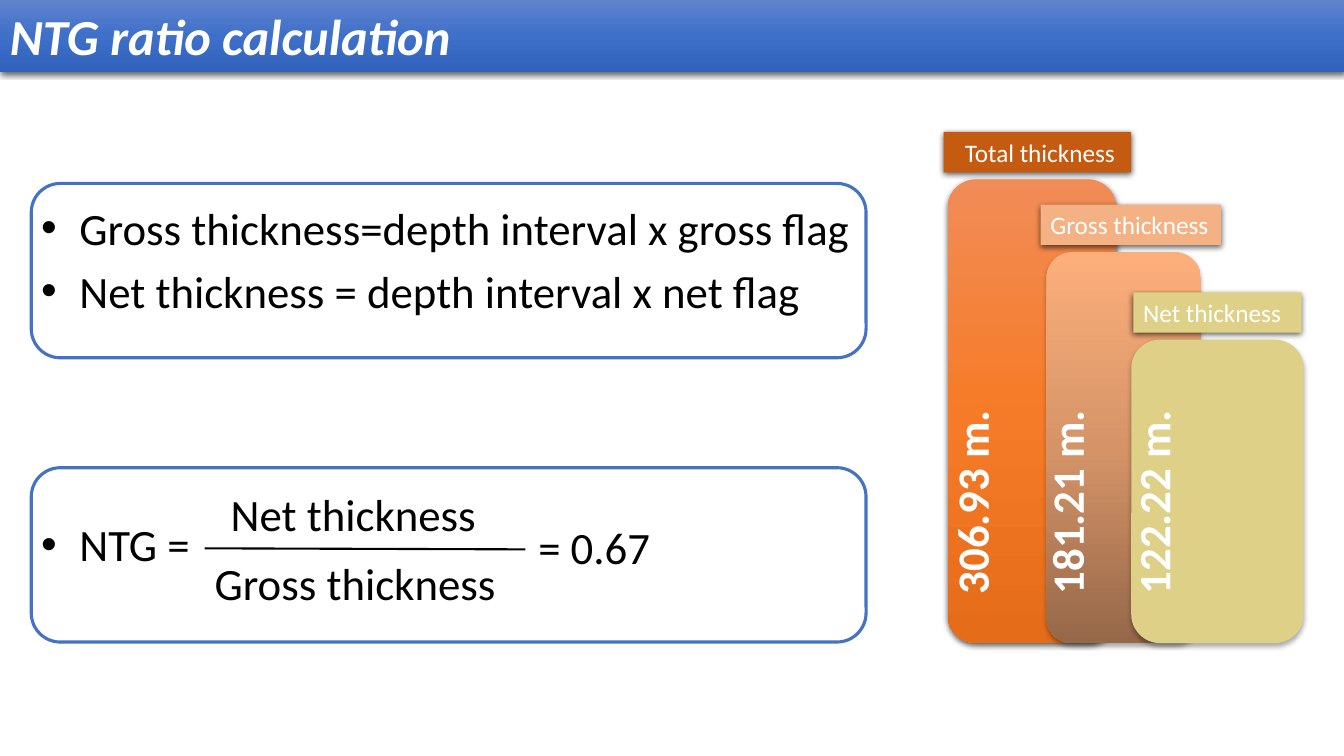
"""Build the NTG ratio calculation slide."""
from copy import deepcopy

from lxml.etree import SubElement
from pptx import Presentation
from pptx.dml.color import RGBColor
from pptx.enum.shapes import MSO_CONNECTOR, MSO_SHAPE
from pptx.enum.text import MSO_ANCHOR, PP_ALIGN
from pptx.oxml.ns import qn
from pptx.util import Inches, Pt

COLORS = {"text": "000000", "white": "FFFFFF", "frame": "4472C4",
          "total": "C55A11", "gross": "F4B183", "net": "DFD087"}
GRADIENTS = {"header": ("6183CB", "3E70CA", "3062BB"),
             "total": ("F18C57", "F67B28", "E56C19"),
             "gross": ("FDAF7B", "D59468", "966849")}
STRONG = (63, 4.5, 1.5)
SOFT = (32, 3.5, 2.2)

TITLE = "NTG ratio calculation"
FRAME_TOPS = (1.82, 4.64)
BULLETS = [
    (1.94, 8.37, ["Gross thickness=depth interval x gross flag",
                  "Net thickness = depth interval x net flag"]),
    (5.08, 1.73, ["NTG ="]),
]
FRACTION = [("Net thickness", 2.19, 4.78, 3.1),
            ("Gross thickness", 2.03, 5.46, 3.1),
            ("= 0.67", 5.24, 5.11, 1.98)]
# name, label, value, bar (left, top, width), label (left, width, inset), value center, shadow
BARS = [
    ("total", "Total thickness", "306.93 m.", (9.4, 1.78, 1.67), (9.36, 1.86, 0.21), 9.635, STRONG),
    ("gross", "Gross thickness", "181.21 m.", (10.38, 2.5, 1.53), (10.32, 1.79, 0.1), 10.575, SOFT),
    ("net", "Net thickness", "122.22 m.", (11.22, 3.37, 1.71), (11.24, 1.67, 0.1), 11.435, SOFT),
]
BAR_BOTTOM = 6.38
LABEL_RISE, LABEL_H = 0.47, 0.4
VALUE_TOP, VALUE_W, LINE_H = 4.63, 2.09, 0.64

prs = Presentation()
prs.slide_width, prs.slide_height = Inches(13.33), Inches(7.5)
s = prs.slides.add_slide(prs.slide_layouts[6])


def rgb(value):
    return RGBColor.from_string(value)


def add_box(kind, x, y, w, h, fill=None, shadow=None):
    sp = s.shapes.add_shape(kind, Inches(x), Inches(y), Inches(w), Inches(h))
    sp.shadow.inherit = False
    if isinstance(fill, tuple):
        sp.fill.gradient()
        sp.fill.gradient_angle = 270
        stops = sp._element.spPr.find(qn("a:gradFill")).find(qn("a:gsLst"))
        stops.append(deepcopy(stops[0]))
        for i, (stop, color) in enumerate(zip(sp.fill.gradient_stops, fill)):
            stop.position = i / 2
            stop.color.rgb = rgb(color)
    elif fill:
        sp.fill.solid()
        sp.fill.fore_color.rgb = rgb(fill)
    else:
        sp.fill.background()
    sp.line.fill.background()
    if shadow:
        alpha, blur, dist = shadow
        effects = sp._element.spPr.find(qn("a:effectLst"))
        outer = SubElement(effects, qn("a:outerShdw"), blurRad=str(Pt(blur)),
                           dist=str(Pt(dist)), dir="5400000", rotWithShape="0")
        black = SubElement(outer, qn("a:srgbClr"), val="000000")
        SubElement(black, qn("a:alpha"), val=str(alpha * 1000))
    return sp


def write(sp, lines, size, color="white", bold=False, italic=False, bullets=False):
    tf = sp.text_frame
    tf.word_wrap = True
    for i, line in enumerate(lines):
        p = tf.add_paragraph() if i else tf.paragraphs[0]
        p.text = line
        p.alignment = PP_ALIGN.LEFT
        if i:
            p.space_before = Pt(size * 0.2)
        if bullets:
            pPr = p._p.get_or_add_pPr()
            pPr.set("marL", str(Inches(0.38)))
            pPr.set("indent", str(Inches(-0.38)))
            SubElement(pPr, qn("a:buFont"), typeface="Arial")
            SubElement(pPr, qn("a:buChar"), char="•")
        for r in p.runs:
            r.font.name, r.font.size = "Calibri", Pt(size)
            r.font.bold, r.font.italic = bold, italic
            r.font.color.rgb = rgb(COLORS[color])


def add_text(lines, x, y, w, h=LINE_H, **style):
    sp = s.shapes.add_textbox(Inches(x), Inches(y), Inches(w), Inches(h))
    write(sp, lines, 32, **style)
    return sp


for name, label, value, (x, y, w), (label_x, label_w, inset), center, shadow in BARS:
    add_box(MSO_SHAPE.ROUNDED_RECTANGLE, x, y, w, BAR_BOTTOM - y,
            GRADIENTS.get(name, COLORS[name]), shadow)
    tag = add_box(MSO_SHAPE.RECTANGLE, label_x, y - LABEL_RISE, label_w, LABEL_H,
                  COLORS[name], STRONG)
    write(tag, [label], 18)
    tag.text_frame.margin_left = Inches(inset)
    tag.text_frame.margin_right = 0
    add_text([value], center - VALUE_W / 2, VALUE_TOP, VALUE_W, bold=True).rotation = 270

for y in FRAME_TOPS:
    frame = add_box(MSO_SHAPE.ROUNDED_RECTANGLE, 0.31, y, 8.28, 1.73)
    frame.line.color.rgb = rgb(COLORS["frame"])
    frame.line.width = Pt(2.25)

for y, w, lines in BULLETS:
    add_text(lines, 0.31, y, w, LINE_H * len(lines), color="text", bullets=True)

for text, x, y, w in FRACTION:
    add_text([text], x, y, w, color="text")

rule = s.shapes.add_connector(MSO_CONNECTOR.STRAIGHT, Inches(2.03), Inches(5.44),
                              Inches(5.21), Inches(5.45))
rule.line.color.rgb = rgb(COLORS["text"])
rule.line.width = Pt(1.5)
SubElement(rule._element.spPr, qn("a:effectLst"))

header = add_box(MSO_SHAPE.RECTANGLE, 0, 0, 13.33, 0.71, GRADIENTS["header"], STRONG)
write(header, [TITLE], 36, bold=True, italic=True)
header.text_frame.vertical_anchor = MSO_ANCHOR.TOP

prs.save("out.pptx")
